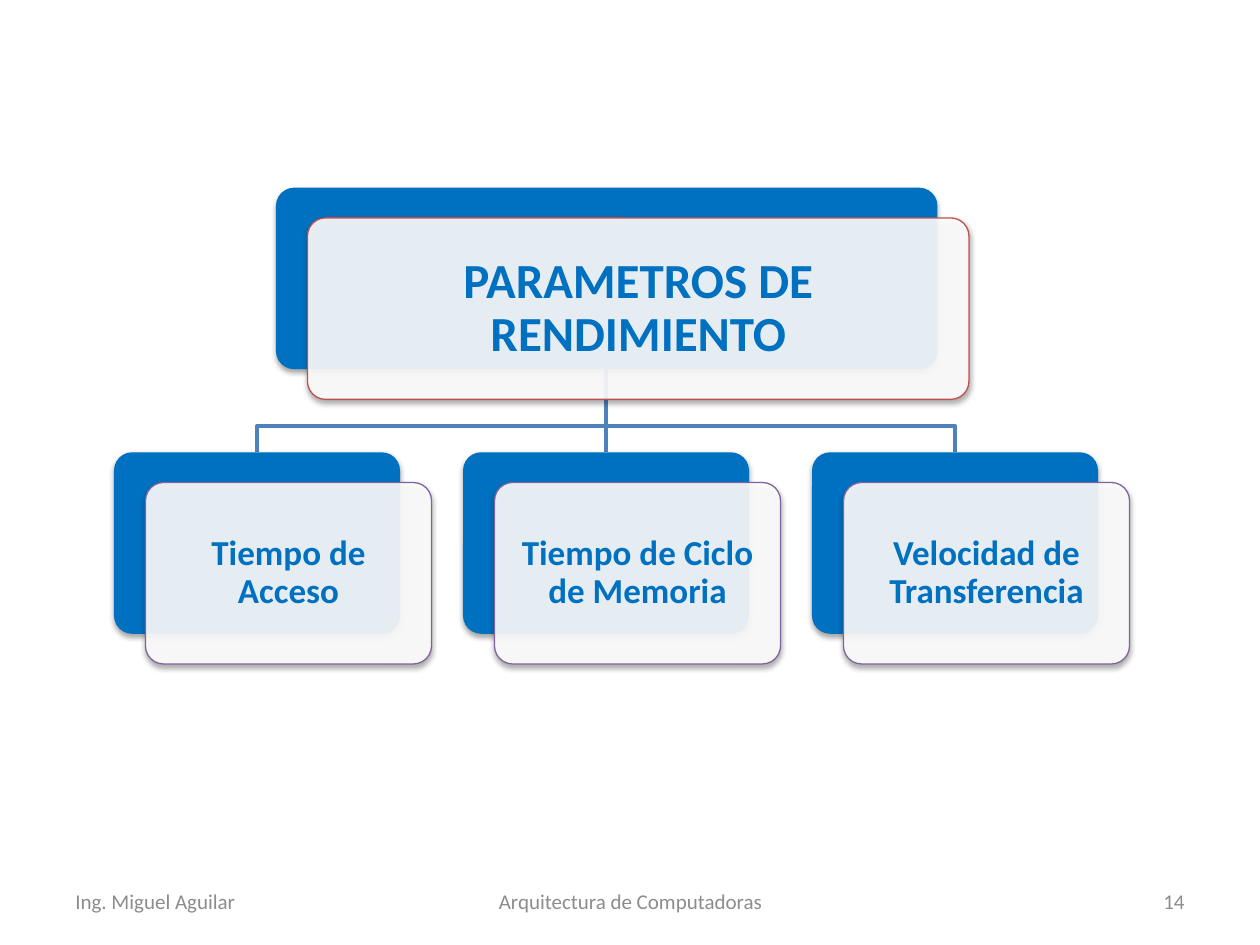
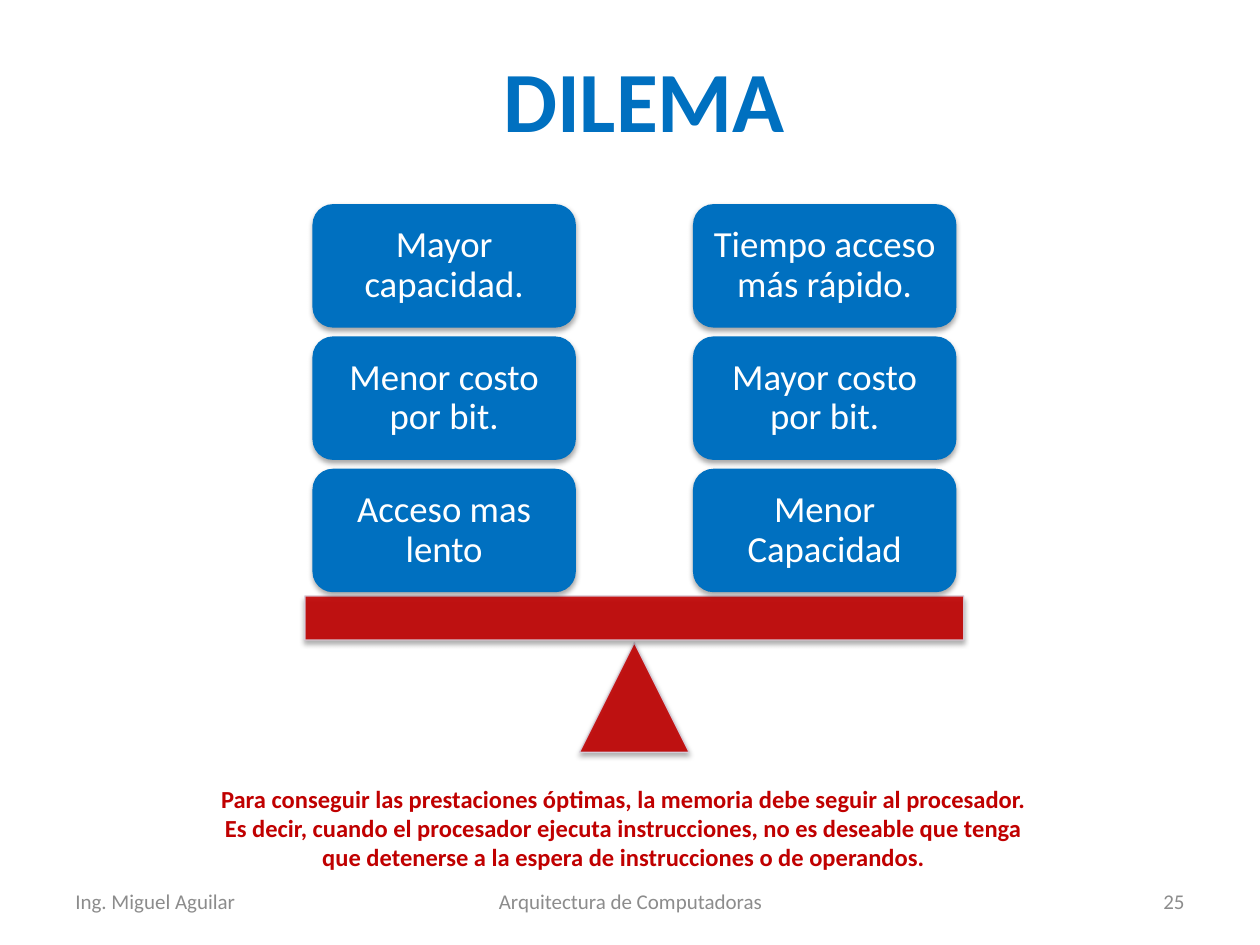
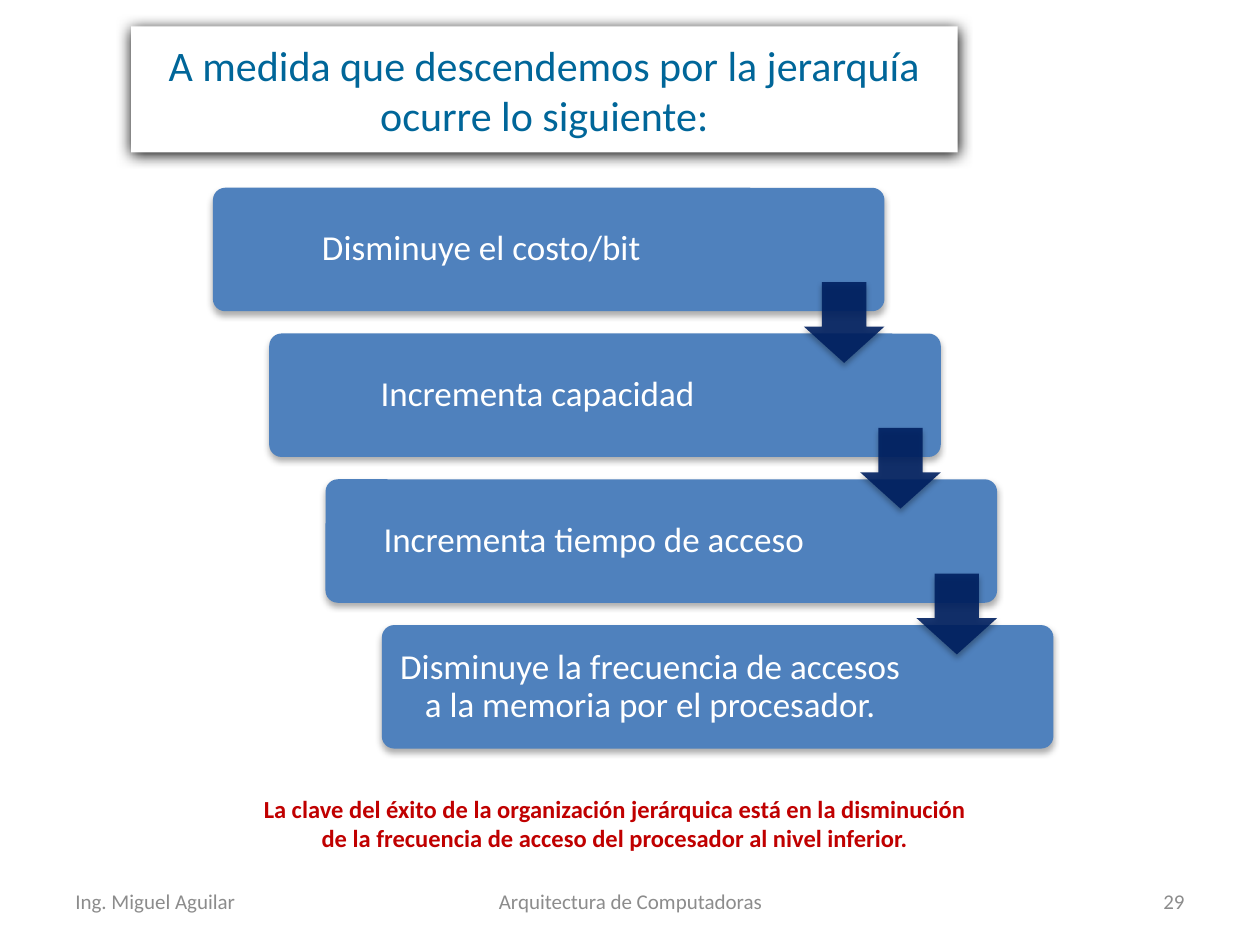
"""Build three slides on memory performance, its dilemma and its hierarchy."""
import pptx
import pptx.dml.color
import pptx.enum.shapes
import pptx.enum.text
import pptx.oxml
import pptx.oxml.ns
import pptx.util

Inches = pptx.util.Inches
Pt = pptx.util.Pt
RGBColor = pptx.dml.color.RGBColor
Shape = pptx.enum.shapes.MSO_SHAPE
Align = pptx.enum.text.PP_ALIGN
Anchor = pptx.enum.text.MSO_ANCHOR
qn = pptx.oxml.ns.qn

FONT = "Calibri"
WHITE = RGBColor(0xFF, 0xFF, 0xFF)
GRAY = RGBColor(0x8C, 0x8C, 0x8C)
BLUE = RGBColor(0x00, 0x70, 0xC0)
STEEL = RGBColor(0x4F, 0x81, 0xBD)
NAVY = RGBColor(0x00, 0x20, 0x60)
TEAL = RGBColor(0x00, 0x66, 0x99)
RED = RGBColor(0xC0, 0x00, 0x00)
BRICK = RGBColor(0xC0, 0x50, 0x4D)
PURPLE = RGBColor(0x80, 0x64, 0xA2)
LILAC = RGBColor(0xD8, 0xD3, 0xE0)

SOFT_SHADOW = (35, 3.1, 1.8)
STEP_SHADOW = (32, 3.5, 2.2)
TITLE_SHADOW = (100, 8.5, 1)

AUTHOR = "Ing. Miguel Aguilar"
COURSE = "Arquitectura de Computadoras"

PARAMETERS_TITLE = "PARAMETROS DE RENDIMIENTO"
PARAMETERS = ["Tiempo de Acceso", "Tiempo de Ciclo de Memoria", "Velocidad de Transferencia"]

DILEMMA_TITLE = "DILEMA"
DILEMMA_SIDES = [
    ["Mayor capacidad.", "Menor costo por bit.", "Acceso mas lento"],
    ["Tiempo acceso más rápido.", "Mayor costo por bit.", "Menor Capacidad"],
]
DILEMMA_NOTE = [
    "Para conseguir las prestaciones óptimas, la memoria debe seguir al procesador.",
    "Es decir, cuando el procesador ejecuta instrucciones, no es deseable que tenga",
    "que detenerse a la espera de instrucciones o de operandos.",
]

HIERARCHY_TITLE = "A medida que descendemos por la jerarquía ocurre lo siguiente:"
HIERARCHY_STEPS = [
    "Disminuye el costo/bit",
    "Incrementa capacidad",
    "Incrementa tiempo de acceso",
    "Disminuye la frecuencia de accesos a la memoria por el procesador.",
]
HIERARCHY_NOTE = [
    "La clave del éxito de la organización jerárquica está en la disminución",
    "de la frecuencia de acceso del procesador al nivel inferior.",
]


def write_text(shape, lines, size, color, bold=False, align=Align.CENTER,
               anchor=Anchor.MIDDLE, spacing=None, inset=None, right_inset=None):
    """Write one paragraph per line into a shape."""
    frame = shape.text_frame
    frame.word_wrap = True
    frame.vertical_anchor = anchor
    if inset is not None:
        frame.margin_left = frame.margin_top = frame.margin_bottom = Inches(inset)
        frame.margin_right = Inches(inset if right_inset is None else right_inset)
    for index, line in enumerate(lines):
        paragraph = frame.add_paragraph() if index else frame.paragraphs[0]
        paragraph.alignment = align
        if spacing:
            paragraph.line_spacing = spacing
        run = paragraph.add_run()
        run.text = line
        run.font.name = FONT
        run.font.size = Pt(size)
        run.font.bold = bold
        run.font.color.rgb = color


def add_text(slide, box, lines, size, color, **style):
    """Add a text box."""
    shape = slide.shapes.add_textbox(*map(Inches, box))
    write_text(shape, lines, size, color, **style)


def set_opacity(fill_parent, percent):
    """Make the solid fill of an element partly transparent."""
    color = fill_parent.find(qn("a:solidFill")).find(qn("a:srgbClr"))
    color.append(pptx.oxml.parse_xml(
        f'<a:alpha {pptx.oxml.ns.nsdecls("a")} val="{percent * 1000}"/>'))


def set_shadow(shape, shadow):
    """Give a shape a black shadow that falls straight down."""
    opacity, blur, distance = shadow
    shape.shadow.inherit = False
    effects = shape._element.spPr.find(qn("a:effectLst"))
    effects.append(pptx.oxml.parse_xml(
        f'<a:outerShdw {pptx.oxml.ns.nsdecls("a")} blurRad="{Pt(blur)}" dist="{Pt(distance)}" '
        f'dir="5400000" rotWithShape="0"><a:srgbClr val="000000">'
        f'<a:alpha val="{opacity * 1000}"/></a:srgbClr></a:outerShdw>'))


def add_block(slide, kind, box, fill, shadow, opacity=100, line=None, adjustments=()):
    """Add a filled shape with a shadow."""
    shape = slide.shapes.add_shape(kind, *map(Inches, box))
    for index, value in enumerate(adjustments):
        shape.adjustments[index] = value
    shape.fill.solid()
    shape.fill.fore_color.rgb = fill
    if line is None:
        shape.line.fill.background()
    else:
        shape.line.color.rgb = line
        shape.line.width = Pt(0.75)
    if opacity < 100:
        set_opacity(shape._element.spPr, opacity)
    set_shadow(shape, shadow)
    return shape


def add_slide(presentation, number):
    """Add a blank slide with its footer."""
    slide = presentation.slides.add_slide(presentation.slide_layouts[6])
    for left, width, text, align in [
        (0.5, 2.33, AUTHOR, Align.LEFT),
        (3.42, 3.17, COURSE, Align.CENTER),
        (7.17, 2.33, str(number), Align.RIGHT),
    ]:
        add_text(slide, (left, 6.95, width, 0.4), [text], 12, GRAY, align=align)
    return slide


def add_card(slide, left, top, width, text, size, line, inset):
    """Add a blue card with a translucent text card in front of it."""
    height = 1.44
    add_block(slide, Shape.ROUNDED_RECTANGLE, (left, top, width, height), BLUE,
              SOFT_SHADOW, adjustments=[0.1])
    front = add_block(slide, Shape.ROUNDED_RECTANGLE, (left + 0.25, top + 0.24, width, height),
                      WHITE, SOFT_SHADOW, opacity=90, line=line, adjustments=[0.1])
    write_text(front, [text], size, BLUE, bold=True, spacing=0.9, inset=inset)


def style_branch(branch):
    """Give a branch of the tree its line."""
    branch.line.color.rgb = STEEL
    branch.line.width = Pt(2)


def build_parameters(presentation):
    """Draw the tree of performance parameters."""
    slide = add_slide(presentation, 14)
    trunk, root_bottom, bend, child_top = 4.81, 2.93, 3.38, 3.59
    child_width, child_step = 2.27, 2.77
    for center in (trunk + child_step, trunk - child_step):
        points = [(trunk, bend), (center, bend), (center, child_top)]
        builder = slide.shapes.build_freeform(Inches(trunk), Inches(root_bottom))
        builder.add_line_segments([(Inches(x), Inches(y)) for x, y in points], close=False)
        branch = builder.convert_to_shape()
        branch.fill.background()
        branch.shadow.inherit = False
        style_branch(branch)
    stem = slide.shapes.add_connector(
        pptx.enum.shapes.MSO_CONNECTOR.STRAIGHT,
        *map(Inches, (trunk, root_bottom, trunk, child_top)))
    style_branch(stem)
    stem._element.spPr.append(pptx.oxml.parse_xml(
        f'<a:effectLst {pptx.oxml.ns.nsdecls("a")}/>'))
    add_card(slide, 2.19, 1.49, 5.25, PARAMETERS_TITLE, 28, BRICK, 0.12)
    for index, text in enumerate(PARAMETERS):
        left = trunk + (index - 1) * child_step - child_width / 2
        add_card(slide, left, child_top, child_width, text, 20, PURPLE, 0.08)


def build_dilemma(presentation):
    """Draw the balance between two kinds of memory."""
    slide = add_slide(presentation, 25)
    add_text(slide, (1.32, 0.25, 7.58, 1.16), [DILEMMA_TITLE], 49, BLUE,
             bold=True, spacing=0.9, inset=0.2)
    for kind, box in [
        (Shape.ISOSCELES_TRIANGLE, (4.6, 5.1, 0.87, 0.87)),
        (Shape.RECTANGLE, (2.42, 4.73, 5.23, 0.35)),
    ]:
        part = add_block(slide, kind, box, RED, SOFT_SHADOW, opacity=90, line=LILAC)
        set_opacity(part._element.spPr.find(qn("a:ln")), 90)
    for column, weights in enumerate(DILEMMA_SIDES):
        for row, text in enumerate(weights):
            box = (2.48 + column * 3.02, 1.62 + row * 1.05, 2.09, 0.98)
            weight = add_block(slide, Shape.ROUNDED_RECTANGLE, box, BLUE, SOFT_SHADOW)
            write_text(weight, [text], 21, WHITE, spacing=0.9, inset=0.09)
    add_text(slide, (1.58, 6.17, 6.74, 0.81), DILEMMA_NOTE, 14, RED,
             bold=True, anchor=Anchor.TOP)


def build_hierarchy(presentation):
    """Draw the descending steps of the memory hierarchy."""
    slide = add_slide(presentation, 29)
    width, arrow_side = 5.33, 0.64
    corners = [(1.69 + index * 0.447, 1.49 + index * 1.157)
               for index in range(len(HIERARCHY_STEPS))]
    for (left, top), text in zip(corners, HIERARCHY_STEPS):
        step = add_block(slide, Shape.ROUNDED_RECTANGLE, (left, top, width, 0.98), STEEL,
                         STEP_SHADOW, adjustments=[0.1])
        write_text(step, [text], 20, WHITE, spacing=0.9, inset=0.08, right_inset=1.15)
    for left, top in corners[:-1]:
        box = (left + width - arrow_side, top + 0.75, arrow_side, arrow_side)
        add_block(slide, Shape.DOWN_ARROW, box, NAVY, STEP_SHADOW, opacity=90,
                  adjustments=[0.55, 0.45])
    title = add_block(slide, Shape.RECTANGLE, (1.04, 0.21, 6.56, 1), WHITE, TITLE_SHADOW)
    write_text(title, [HIERARCHY_TITLE], 24, TEAL)
    add_text(slide, (1.14, 6.25, 7.48, 0.57), HIERARCHY_NOTE, 14, RED,
             bold=True, anchor=Anchor.TOP)


def main():
    """Build and save the presentation."""
    presentation = pptx.Presentation()
    presentation.slide_width = Inches(10)
    presentation.slide_height = Inches(7.5)
    build_parameters(presentation)
    build_dilemma(presentation)
    build_hierarchy(presentation)
    presentation.save("out.pptx")


if __name__ == "__main__":
    main()
